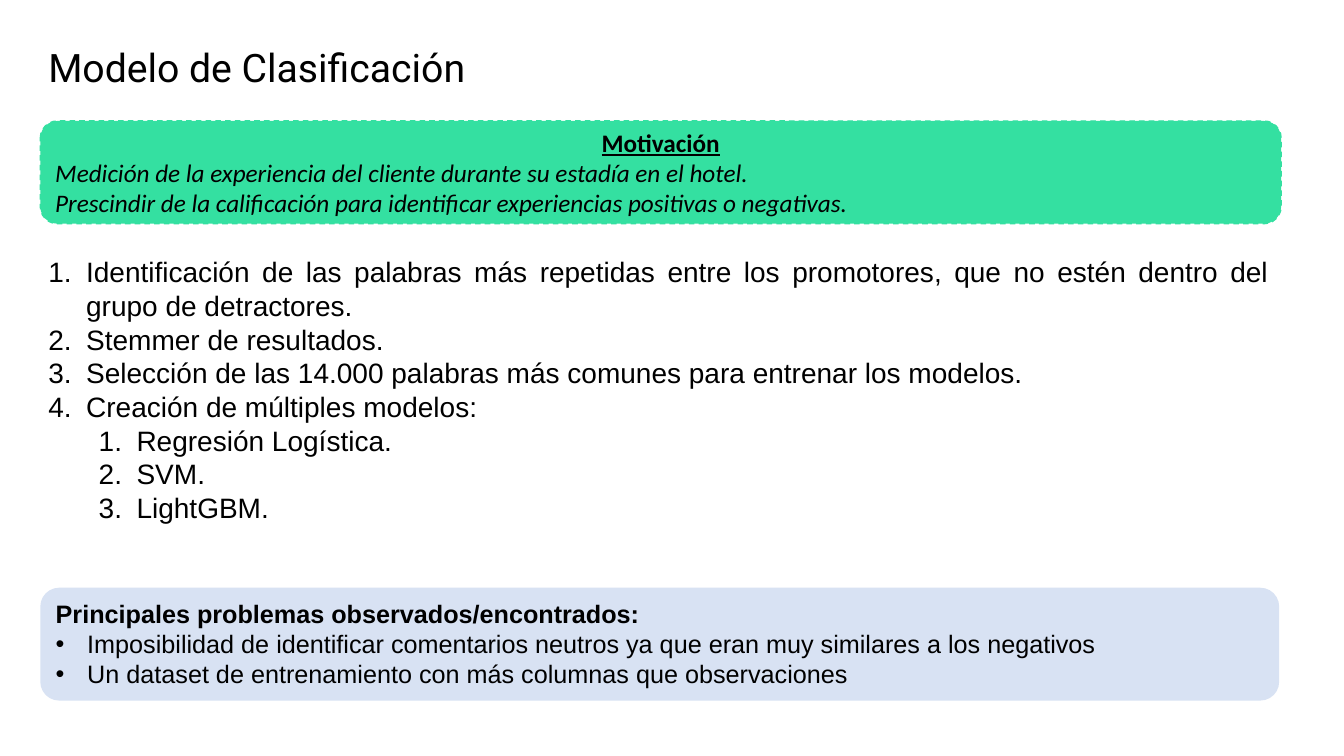
from lxml import etree
from pptx import Presentation
from pptx.dml.color import RGBColor
from pptx.enum import dml, shapes, text
from pptx.oxml.ns import qn
from pptx.util import Pt

BLACK = RGBColor(0x00, 0x00, 0x00)
GREEN = RGBColor(0x34, 0xE0, 0xA1)
PALE_BLUE = RGBColor(0xD8, 0xE2, 0xF3)

steps = [
    (0, "Identificación de las palabras más repetidas entre los promotores, "
        "que no estén dentro del grupo de detractores."),
    (0, "Stemmer de resultados."),
    (0, "Selección de las 14.000 palabras más comunes para entrenar los modelos."),
    (0, "Creación de múltiples modelos:"),
    (1, "Regresión Logística."),
    (1, "SVM."),
    (1, "LightGBM."),
]
motivation = [
    "Motivación",
    "Medición de la experiencia del cliente durante su estadía en el hotel.",
    "Prescindir de la calificación para identificar experiencias positivas o negativas.",
]
problems = [
    "Principales problemas observados/encontrados:",
    "Imposibilidad de identificar comentarios neutros ya que eran muy similares a los negativos",
    "Un dataset de entrenamiento con más columnas que observaciones",
]


def write_lines(tf, lines, font, size):
    """Fill a text frame with one left-aligned paragraph per line."""
    tf.word_wrap = True
    tf.text = "\n".join(lines)
    for p in tf.paragraphs:
        p.alignment = text.PP_ALIGN.LEFT
        f = p.runs[0].font
        f.name, f.size, f.color.rgb = font, Pt(size), BLACK


def add_marker(p, left, hang, tag, **attributes):
    """Give a paragraph a hanging bullet or number; indents are in points."""
    pPr = p._p.get_or_add_pPr()
    pPr.set("marL", str(Pt(left)))
    pPr.set("indent", str(-Pt(hang)))
    etree.SubElement(pPr, qn("a:buFont"), typeface="Arial")
    etree.SubElement(pPr, qn(tag), **attributes)


prs = Presentation()
prs.slide_width, prs.slide_height = Pt(960), Pt(540)
s = prs.slides.add_slide(prs.slide_layouts[6])

# Title
title = s.shapes.add_textbox(Pt(27.4), Pt(27.4), Pt(529), Pt(41))
write_lines(title.text_frame, ["Modelo de Clasificación"], "Roboto", 28)

# Numbered steps
body = s.shapes.add_textbox(Pt(27.4), Pt(178.6), Pt(886.3), Pt(220.3))
write_lines(body.text_frame, [line for level, line in steps], "Arial", 20)
for p, (level, line) in zip(body.text_frame.paragraphs, steps):
    p.level = level
    p.alignment = text.PP_ALIGN.JUSTIFY
    add_marker(p, 27 + 36 * level, 27, "a:buAutoNum", type="arabicPeriod")

# Boxes for problems and motivation
boxes = []
for top, width, height, color, font, lines, anchor in [
    (419.8, 884.9, 80.6, PALE_BLUE, "Arial", problems, text.MSO_ANCHOR.TOP),
    (86.4, 886.3, 73.4, GREEN, "Calibri", motivation, text.MSO_ANCHOR.MIDDLE),
]:
    sp = s.shapes.add_shape(shapes.MSO_SHAPE.ROUNDED_RECTANGLE,
                            Pt(28.8), Pt(top), Pt(width), Pt(height))
    sp.shadow.inherit = False
    sp.fill.solid()
    sp.fill.fore_color.rgb = color
    sp.line.fill.background()
    write_lines(sp.text_frame, lines, font, 18)
    sp.text_frame.vertical_anchor = anchor
    sp.text_frame.paragraphs[0].runs[0].font.bold = True
    boxes.append(sp)
problem_box, motivation_box = boxes

for p in problem_box.text_frame.paragraphs[1:]:
    add_marker(p, 22.5, 22.5, "a:buChar", char="•")

motivation_box.line.color.rgb = GREEN
motivation_box.line.width = Pt(1)
motivation_box.line.dash_style = dml.MSO_LINE.DASH
heading, *sentences = motivation_box.text_frame.paragraphs
heading.alignment = text.PP_ALIGN.CENTER
heading.runs[0].font.underline = True
for p in sentences:
    p.runs[0].font.italic = True

prs.save("out.pptx")
